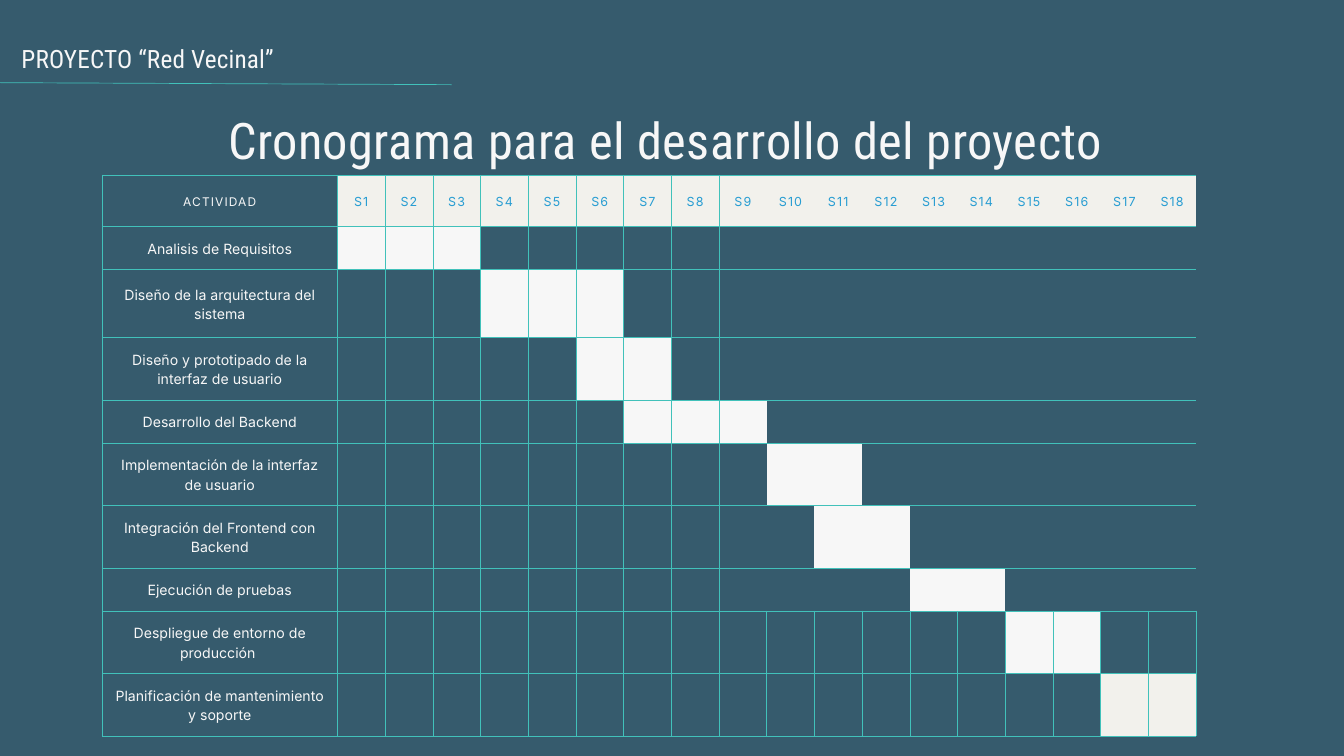
import pptx
import pptx.util
import pptx.dml.color
import pptx.enum.shapes
import pptx.enum.text
import pptx.oxml.ns
from lxml import etree

Pt, Inch = pptx.util.Pt, pptx.util.Inches
Align = pptx.enum.text.PP_ALIGN
Anchor = pptx.enum.text.MSO_ANCHOR
qn = pptx.oxml.ns.qn

# Content: activity, first week, last week, row height
PROJECT = "PROYECTO “Red Vecinal”"
TITLE = "Cronograma para el desarrollo del proyecto "
HEAD = "ACTIVIDAD"
WEEKS = 18
TASKS = [
    ("Analisis de Requisitos", 1, 3, 0.64),
    ("Diseño de la arquitectura del sistema", 4, 6, 1.01),
    ("Diseño y prototipado de la interfaz de usuario", 6, 7, 0.93),
    ("Desarrollo del Backend", 7, 9, 0.64),
    ("Implementación de la interfaz de usuario", 10, 11, 0.93),
    ("Integración del Frontend con Backend", 11, 12, 0.93),
    ("Ejecución de pruebas", 13, 14, 0.64),
    ("Despliegue de entorno de producción ", 15, 16, 0.93),
    ("Planificación de mantenimiento y soporte", 17, 18, 0.93),
]

# Theme; a type style is font, size, colour, letter spacing, line height
THEME = {
    "back": "365B6D", "line": "41C1BA", "bar": "F7F7F7", "cream": "F2F1EC",
    "title": ("Roboto Condensed", 54, "F7F7F7", 0.5, 64.8),
    "project": ("Roboto Condensed", 27, "F7F7F7", 0.2, 32.4),
    "head": ("Inter", 12.8, "F7F7F7", 1.2, 17.9),
    "week": ("Inter", 13.4, "289DD2", 1.2, 18.7),
    "task": ("Inter", 15.1, "F7F7F7", 0, 21.1),
}

# Grid, in inches
WIDE, HIGH = 20, 11.25
LEFT, TOP = 1.52, 2.6
NAME_W, WEEK_W, HEAD_H = 3.5, 0.71, 0.77
PAD = 0.13
RULE = 0.48
OPEN_COL = 9   # from this week on, the upper rows have no upright rules
OPEN_ROW = 8   # the rows from here down are fully ruled


def color(key):
    return pptx.dml.color.RGBColor.from_string(THEME.get(key, key))


def write(frame, text, style, align):
    font, size, ink, gap, line = THEME[style]
    frame.text = text
    para = frame.paragraphs[0]
    para.alignment = align
    para.line_spacing = Pt(line)
    run = para.runs[0]
    run.font.name, run.font.size = font, Pt(size)
    run.font.color.rgb = color(ink)
    run.font._element.set("spc", str(round(gap * 100)))


def set_box(shape, text, style, align):
    frame = shape.text_frame
    frame.margin_left = frame.margin_right = 0
    frame.margin_top = frame.margin_bottom = 0
    frame.word_wrap = True
    frame.vertical_anchor = Anchor.TOP
    frame.auto_size = pptx.enum.text.MSO_AUTO_SIZE.SHAPE_TO_FIT_TEXT
    write(frame, text, style, align)


def rule_cell(cell, row, col):
    part = cell._tc.get_or_add_tcPr()
    bare = row < OPEN_ROW
    widths = {
        "lnL": 0 if bare and col > OPEN_COL else RULE,
        "lnR": 0 if bare and col >= OPEN_COL else RULE,
        "lnT": RULE,
        "lnB": RULE,
    }
    for tag, width in widths.items():
        edge = etree.SubElement(part, qn("a:" + tag), w=str(int(Pt(width))))
        fill = etree.SubElement(edge, qn("a:solidFill"))
        etree.SubElement(fill, qn("a:srgbClr"), val=THEME["line"])


def fill_cell(cell, row, col):
    """Return the fill key of a cell and write its text, if any."""
    text, style, fill = "", "task", "back"
    if row == 0:
        text, style = (f"S{col}", "week") if col else (HEAD, "head")
        fill = "cream" if col else "back"
    else:
        name, first, last, _ = TASKS[row - 1]
        if col == 0:
            text = name
        elif first <= col <= last:
            fill = "cream" if row == len(TASKS) else "bar"
    if text:
        cell.margin_left = cell.margin_right = Inch(PAD)
        cell.margin_top = cell.margin_bottom = Inch(PAD)
        cell.vertical_anchor = Anchor.MIDDLE
        write(cell.text_frame, text, style, Align.CENTER)
    return fill


def add_chart_table(slide):
    cols = [NAME_W] + [WEEK_W] * WEEKS
    rows = [HEAD_H] + [task[3] for task in TASKS]
    table = slide.shapes.add_table(
        len(rows), len(cols), Inch(LEFT), Inch(TOP),
        Inch(sum(cols)), Inch(sum(rows))).table
    table.first_row = table.horz_banding = False
    for col, width in enumerate(cols):
        table.columns[col].width = Inch(width)
    for row, height in enumerate(rows):
        table.rows[row].height = Inch(height)
        for col in range(len(cols)):
            cell = table.cell(row, col)
            rule_cell(cell, row, col)
            key = fill_cell(cell, row, col)
            cell.fill.solid()
            cell.fill.fore_color.rgb = color(key)


def main():
    deck = pptx.Presentation()
    deck.slide_width, deck.slide_height = Inch(WIDE), Inch(HIGH)
    slide = deck.slides.add_slide(deck.slide_layouts[5])
    slide.background.fill.solid()
    slide.background.fill.fore_color.rgb = color("back")

    # Title
    title = slide.shapes.title
    title.left, title.top = Inch(0.1), Inch(1.63)
    title.width, title.height = Inch(19.8), Inch(0.9)
    set_box(title, TITLE, "title", Align.CENTER)

    # Rule under the project name
    line = slide.shapes.add_connector(
        pptx.enum.shapes.MSO_CONNECTOR.STRAIGHT,
        Inch(-0.01), Inch(1.23), Inch(6.72), Inch(1.26))
    line.line.color.rgb = color("line")
    line.line.width = Pt(0.75)
    etree.SubElement(line._element.spPr, qn("a:effectLst"))

    # Schedule
    add_chart_table(slide)

    # Project name
    box = slide.shapes.add_textbox(
        Inch(0.32), Inch(0.64), Inch(19.8), Inch(0.46))
    set_box(box, PROJECT, "project", Align.LEFT)

    deck.save("out.pptx")


if __name__ == "__main__":
    main()
